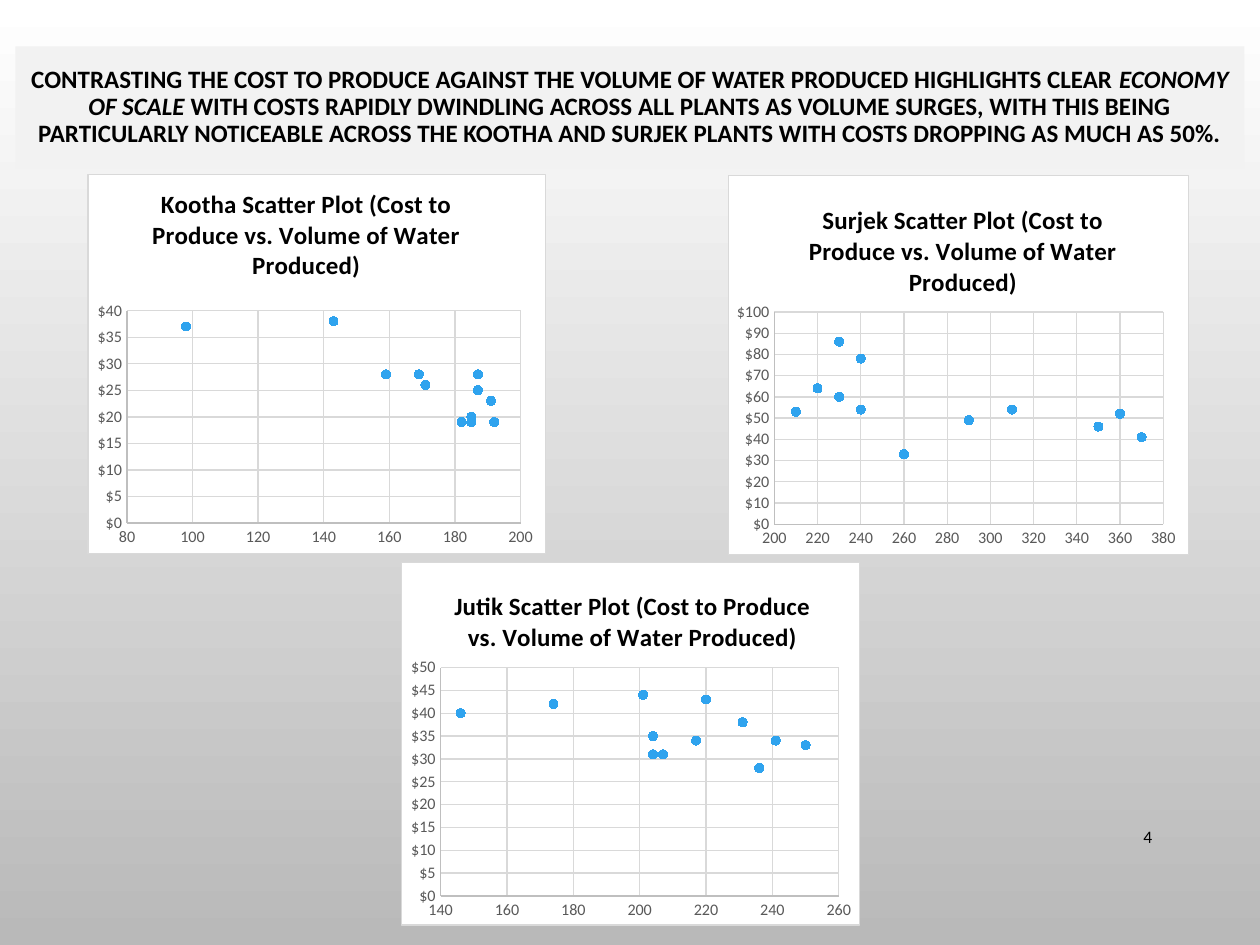
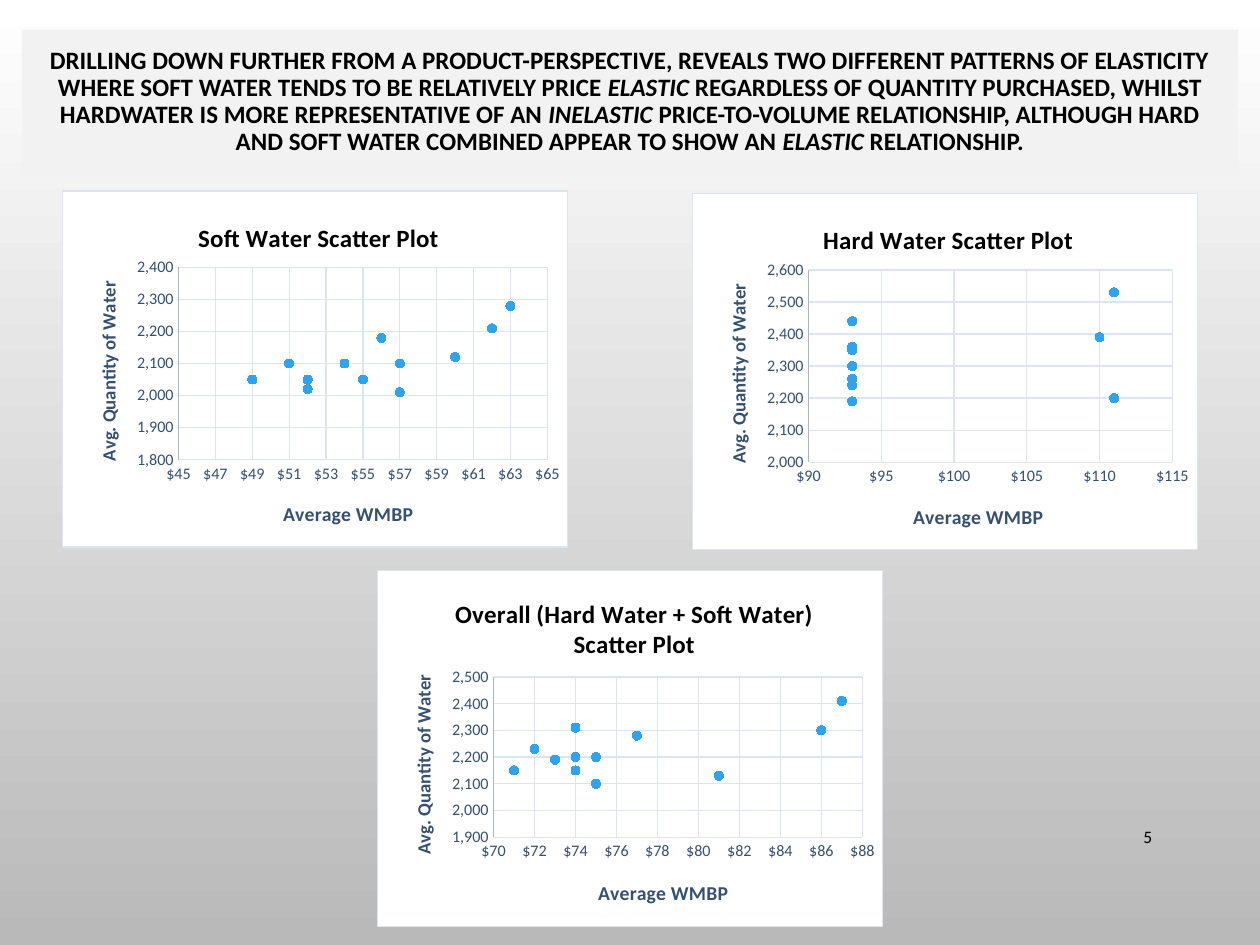
from dataclasses import dataclass
from lxml.etree import SubElement
from pptx import Presentation
from pptx.chart.data import XyChartData
from pptx.dml.color import RGBColor
from pptx.enum.chart import XL_CHART_TYPE, XL_MARKER_STYLE, XL_TICK_MARK
from pptx.enum.shapes import MSO_SHAPE
from pptx.enum.text import MSO_ANCHOR, PP_ALIGN
from pptx.oxml import parse_xml
from pptx.oxml.ns import nsdecls, qn
from pptx.util import Inches, Pt

COLUMNS, ROWS = 98, 73.5
CELL = Inches(0.1)


@dataclass(frozen=True)
class Theme:
    font: str = "Calibri"
    ink: str = "000000"
    paper: str = "FFFFFF"
    shade: str = "B9B9B9"
    band: str = "F2F2F2"
    title_size: float = 14
    number_size: float = 9.8
    label_size: float = 9
    x_title_size: float = 11
    y_title_size: float = 10.5
    hairline: float = 0.75


@dataclass(frozen=True)
class ChartStyle:
    text: str
    grid: str
    x_line: str
    y_line: str
    marker: str


@dataclass(frozen=True)
class Scale:
    low: float
    high: float
    step: float
    fmt: str = "#,##0"


THEME = Theme()
PLANT = ChartStyle("595959", "D9D9D9", "BFBFBF", "BFBFBF", "2FA3EE")
PRODUCT = ChartStyle("355071", "DCE4EF", "DCE4EF", "A1B8D3", "2FA3EE")
DOLLARS = '"$"#,##0'


def rgb(value):
    return RGBColor.from_string(value)


def set_layout(parent, index, x, y, w=None, h=None):
    for old in parent.findall(qn("c:layout")):
        parent.remove(old)
    layout = parse_xml(f"<c:layout {nsdecls('c')}/>")
    manual = SubElement(layout, qn("c:manualLayout"))
    if w:
        SubElement(manual, qn("c:layoutTarget")).set("val", "inner")
    for tag in ("xMode", "yMode"):
        SubElement(manual, qn(f"c:{tag}")).set("val", "edge")
    for tag, value in zip("xywh", (x, y, w, h)):
        if value is not None:
            SubElement(manual, qn(f"c:{tag}")).set("val", f"{value:.3f}")
    parent.insert(index, layout)


class Deck:
    def __init__(self, theme):
        self.theme = theme
        self.prs = Presentation()
        self.prs.slide_width = int(COLUMNS * CELL)
        self.prs.slide_height = int(ROWS * CELL)
        self.s = None

    def box(self, at):
        return [int(n * CELL) for n in at]

    def font(self, font, size, color, bold=False, italic=False):
        font.name = self.theme.font
        font.size = Pt(size)
        font.color.rgb = rgb(color)
        font.bold = bold
        font.italic = italic

    def line(self, line, color):
        line.color.rgb = rgb(color)
        line.width = Pt(self.theme.hairline)

    def slide(self, number):
        t = self.theme
        self.s = self.prs.slides.add_slide(self.prs.slide_layouts[6])
        fill = self.s.background.fill
        fill.gradient()
        fill.gradient_angle = 270
        for stop, color in zip(fill.gradient_stops, (t.paper, t.shade)):
            stop.color.rgb = rgb(color)
        tf = self.s.shapes.add_textbox(*self.box((84.5, 63.1, 6.1, 3.9))).text_frame
        tf.word_wrap = True
        tf.vertical_anchor = MSO_ANCHOR.MIDDLE
        p = tf.paragraphs[0]
        p.text = str(number)
        p.alignment = PP_ALIGN.RIGHT
        self.font(p.runs[0].font, t.number_size, t.ink)

    def heading(self, at, *parts):
        t = self.theme
        sp = self.s.shapes.add_shape(MSO_SHAPE.RECTANGLE, *self.box(at))
        sp.shadow.inherit = False
        sp.fill.solid()
        sp.fill.fore_color.rgb = rgb(t.band)
        sp.line.fill.background()
        tf = sp.text_frame
        tf.word_wrap = True
        tf.vertical_anchor = MSO_ANCHOR.MIDDLE
        p = tf.paragraphs[0]
        p.alignment = PP_ALIGN.CENTER
        p.line_spacing = 0.9
        for i, part in enumerate(parts):
            r = p.add_run()
            r.text = part
            self.font(r.font, t.title_size, t.ink, True, i % 2 == 1)

    def title(self, owner, text, size, color, x, y):
        tf = owner.text_frame
        tf.text = text
        self.font(tf.paragraphs[0].runs[0].font, size, color, True)
        set_layout(owner._element, 1, x, y)
        return tf

    def axis(self, axis, scale, style, line_color):
        axis.minimum_scale, axis.maximum_scale = scale.low, scale.high
        axis.major_unit = scale.step
        axis.major_tick_mark = axis.minor_tick_mark = XL_TICK_MARK.NONE
        axis.has_major_gridlines = True
        self.line(axis.major_gridlines.format.line, style.grid)
        self.line(axis.format.line, line_color)
        labels = axis.tick_labels
        labels.number_format = scale.fmt
        labels.number_format_is_linked = False
        self.font(labels.font, self.theme.label_size, style.text)

    def scatter(self, at, title, title_at, plot, x_scale, y_scale, xs, ys,
                style, axis_titles=None):
        t = self.theme
        data = XyChartData()
        series = data.add_series("Series 1")
        for x, y in zip(xs, ys):
            series.add_data_point(x, y)
        chart = self.s.shapes.add_chart(
            XL_CHART_TYPE.XY_SCATTER, *self.box(at), data).chart
        self.font(chart.font, 10, t.ink)
        chart.has_legend = False
        chart.plots[0].vary_by_categories = False
        space = chart._chartSpace
        space.find(qn("c:chart")).addnext(parse_xml(
            f"<c:spPr {nsdecls('c', 'a')}>"
            f'<a:solidFill><a:srgbClr val="{t.paper}"/></a:solidFill>'
            f'<a:ln w="{Pt(t.hairline)}"><a:solidFill>'
            f'<a:srgbClr val="{style.grid}"/></a:solidFill></a:ln></c:spPr>'))
        set_layout(space.find(".//" + qn("c:plotArea")), 0, *plot)
        chart.has_title = True
        self.title(chart.chart_title, title, t.title_size, t.ink, *title_at)
        self.axis(chart.category_axis, x_scale, style, style.x_line)
        self.axis(chart.value_axis, y_scale, style, style.y_line)
        if axis_titles:
            x_text, y_text = axis_titles
            self.title(chart.category_axis.axis_title, x_text,
                       t.x_title_size, style.text, 0.43, 0.86)
            tf = self.title(chart.value_axis.axis_title, y_text,
                            t.y_title_size, style.text,
                            0.06, plot[1] + plot[3] / 2 - 0.24)
            body = tf._txBody.find(qn("a:bodyPr"))
            body.set("rot", "-5400000")
            body.set("vert", "horz")
        dots = chart.plots[0].series[0]
        dots.smooth = False
        dots.format.line.fill.background()
        dots.marker.style = XL_MARKER_STYLE.CIRCLE
        dots.marker.size = 5
        dots.marker.format.fill.solid()
        dots.marker.format.fill.fore_color.rgb = rgb(style.marker)
        self.line(dots.marker.format.line, style.marker)


def plants(deck):
    deck.slide(4)
    deck.heading(
        (1.2, 3.6, 95.6, 9.5),
        "CONTRASTING THE COST TO PRODUCE AGAINST THE VOLUME OF WATER PRODUCED "
        "HIGHLIGHTS CLEAR ",
        "ECONOMY OF SCALE ",
        "WITH COSTS RAPIDLY DWINDLING ACROSS ALL PLANTS AS VOLUME SURGES, WITH THIS "
        "BEING PARTICULARLY NOTICEABLE ACROSS THE KOOTHA AND SURJEK PLANTS WITH "
        "COSTS DROPPING AS MUCH AS 50%.")
    charts = [
        ("Kootha", (6.8, 13.5, 35.7, 29.6), (0.13, 0.02), (0.085, 0.36, 0.86, 0.56),
         Scale(80, 200, 20), Scale(0, 40, 5, DOLLARS),
         [182, 187, 185, 192, 98, 185, 187, 159, 191, 171, 169, 143],
         [19, 25, 20, 19, 37, 19, 28, 28, 23, 26, 28, 38]),
        ("Surjek", (56.6, 13.6, 35.9, 29.6), (0.165, 0.06), (0.1, 0.36, 0.845, 0.56),
         Scale(200, 380, 20), Scale(0, 100, 10, DOLLARS),
         [210, 230, 220, 240, 230, 240, 290, 310, 370, 350, 360, 260],
         [53, 60, 64, 78, 86, 54, 49, 54, 41, 46, 52, 33]),
        ("Jutik", (31.2, 43.7, 35.7, 28.3), (0.105, 0.06), (0.085, 0.29, 0.87, 0.63),
         Scale(140, 260, 20), Scale(0, 50, 5, DOLLARS),
         [250, 207, 201, 174, 204, 146, 204, 217, 231, 236, 241, 220],
         [33, 31, 44, 42, 31, 40, 35, 34, 38, 28, 34, 43]),
    ]
    for plant, at, *rest in charts:
        title = f"{plant} Scatter Plot (Cost to Produce vs. Volume of Water Produced)"
        deck.scatter(at, title, *rest, PLANT)


def products(deck):
    deck.slide(5)
    deck.heading(
        (1.7, 2.3, 94.6, 11.3),
        "DRILLING DOWN FURTHER FROM A PRODUCT-PERSPECTIVE, REVEALS TWO DIFFERENT "
        "PATTERNS OF ELASTICITY WHERE SOFT WATER TENDS TO BE RELATIVELY PRICE ",
        "ELASTIC",
        " REGARDLESS OF QUANTITY PURCHASED, WHILST HARDWATER IS MORE REPRESENTATIVE "
        "OF AN ",
        "INELASTIC",
        " PRICE-TO-VOLUME RELATIONSHIP, ALTHOUGH HARD AND SOFT WATER COMBINED APPEAR "
        "TO SHOW AN ",
        "ELASTIC",
        " RELATIONSHIP.")
    charts = [
        ("Overall (Hard Water + Soft Water)", (29.3, 44.3), (0.145, 0.06),
         (0.23, 0.3, 0.73, 0.45), Scale(70, 88, 2, DOLLARS), Scale(1900, 2500, 100),
         [86, 87, 81, 73, 71, 72, 77, 75, 74, 75, 74, 74],
         [2300, 2410, 2130, 2190, 2150, 2230, 2280, 2200, 2150, 2100, 2200, 2310]),
        ("Soft Water", (4.8, 14.8), (0.26, 0.07),
         (0.23, 0.215, 0.73, 0.54), Scale(45, 65, 2, DOLLARS), Scale(1800, 2400, 100),
         [62, 63, 52, 52, 49, 51, 60, 57, 55, 57, 54, 56],
         [2210, 2280, 2050, 2020, 2050, 2100, 2120, 2100, 2050, 2010, 2100, 2180]),
        ("Hard Water", (53.8, 15), (0.25, 0.07),
         (0.23, 0.215, 0.72, 0.54), Scale(90, 115, 5, DOLLARS), Scale(2000, 2600, 100),
         [110, 111, 111, 93, 93, 93, 93, 93, 93, 93, 93, 93],
         [2390, 2530, 2200, 2350, 2240, 2360, 2440, 2300, 2260, 2190, 2300, 2440]),
    ]
    for product, corner, *rest in charts:
        deck.scatter((*corner, 39.4, 27.8), f"{product} Scatter Plot", *rest,
                     PRODUCT, ("Average WMBP", "Avg. Quantity of Water"))


def main():
    deck = Deck(THEME)
    plants(deck)
    products(deck)
    deck.prs.save("out.pptx")


if __name__ == "__main__":
    main()
